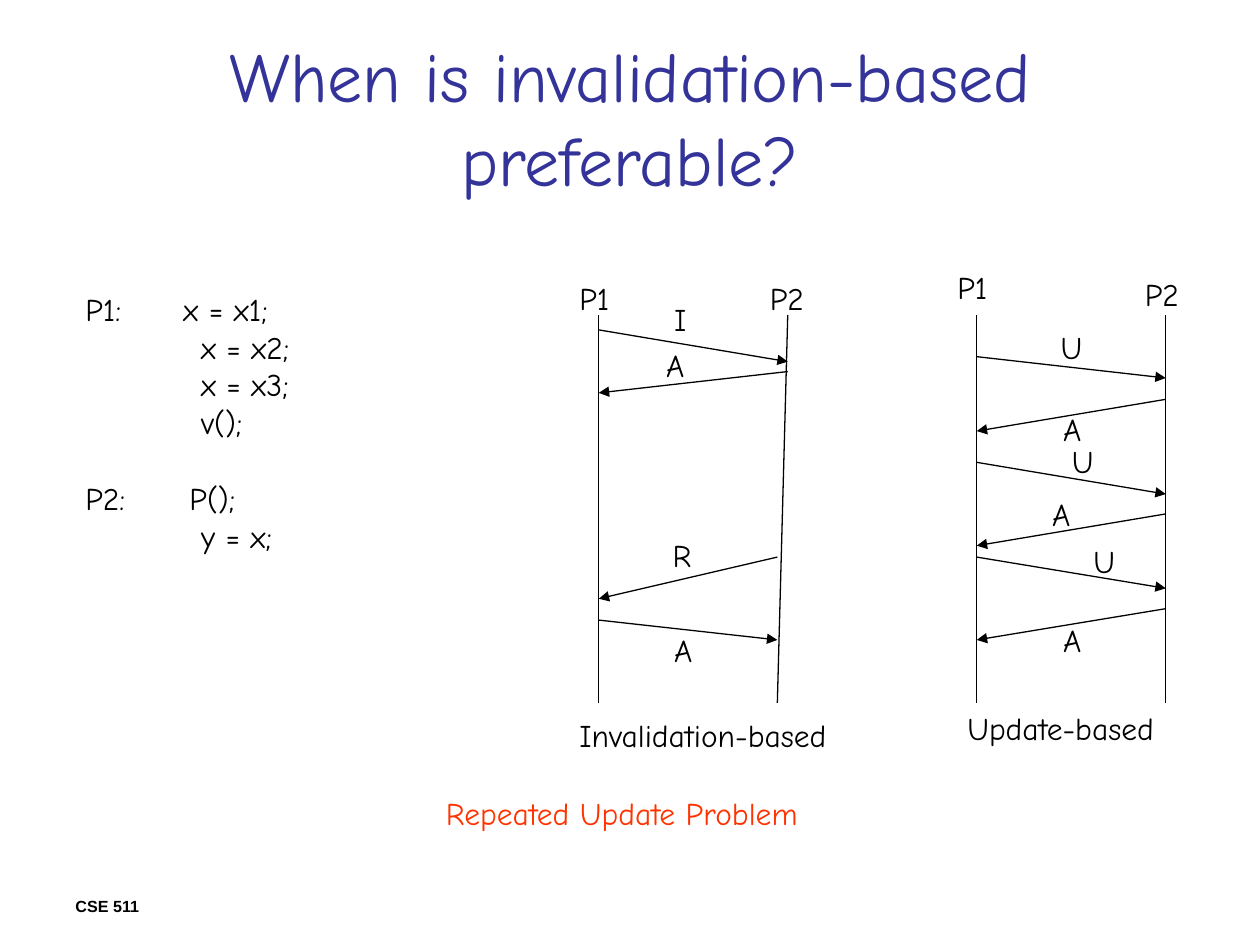
from lxml.etree import SubElement
from pptx import Presentation
from pptx.dml.color import RGBColor
from pptx.enum.shapes import MSO_CONNECTOR
from pptx.enum.text import MSO_ANCHOR, MSO_AUTO_SIZE, PP_ALIGN
from pptx.oxml.ns import qn
from pptx.util import Cm, Pt

BLACK = "000000"


def add_text(shapes, text, left, top, width, height=1.02, size=18,
             color=BLACK, font="Comic Neue", wrap=False):
    """Add a text box measured in centimetres; each line is a paragraph."""
    box = shapes.add_textbox(Cm(left), Cm(top), Cm(width), Cm(height))
    box.text_frame.text = text
    box.text_frame.word_wrap = wrap
    if not wrap:
        box.text_frame.auto_size = MSO_AUTO_SIZE.SHAPE_TO_FIT_TEXT
    for paragraph in box.text_frame.paragraphs:
        for run in paragraph.runs:
            run.font.name = font
            run.font.size = Pt(size)
            run.font.color.rgb = RGBColor.from_string(color)
    return box


def add_line(shapes, start_x, start_y, end_x, end_y, arrow=False):
    line = shapes.add_connector(MSO_CONNECTOR.STRAIGHT, Cm(start_x), Cm(start_y),
                                Cm(end_x), Cm(end_y))
    line.line.width = Pt(0.75)
    line.line.color.rgb = RGBColor.from_string(BLACK)
    if arrow:
        SubElement(line.line._get_or_add_ln(), qn("a:tailEnd"), type="triangle")
    SubElement(line._element.spPr, qn("a:effectLst"))


presentation = Presentation()
presentation.slide_width = Cm(25.4)
presentation.slide_height = Cm(19.05)
slide = presentation.slides.add_slide(presentation.slide_layouts[6])

footer = add_text(slide.shapes, "CSE 511", 1.27, 17.98, 5.92, 0.64,
                  size=9.2, font="Arial", wrap=True)
footer.text_frame.paragraphs[0].line_spacing = 0.9
footer.text_frame.paragraphs[0].runs[0].font.bold = True

title = add_text(slide.shapes, "When is invalidation-based preferable?",
                 1.27, 0.76, 22.86, 3.18, size=40, color="333399", wrap=True)
title.text_frame.vertical_anchor = MSO_ANCHOR.MIDDLE
title.text_frame.paragraphs[0].alignment = PP_ALIGN.CENTER

code_lines = [
    "P1:\tx = x1;",
    "           x = x2;",
    "           x = x3;",
    "           v();",
    "P2:\tP();",
    "           y = x;",
]
code = add_text(slide.shapes, "\n".join(code_lines), 1.47, 5.72, 7.42, 6.35, wrap=True)
code_paragraphs = code.text_frame.paragraphs
for index, tab_position in ((0, 1.98), (4, 2.1)):
    tabs = SubElement(code_paragraphs[index]._p.get_or_add_pPr(), qn("a:tabLst"))
    SubElement(tabs, qn("a:tab"), pos=str(Cm(tab_position)), algn="l")
code_paragraphs[4].space_before = Pt(21.6)

add_text(slide.shapes, "Repeated Update Problem", 8.74, 15.88, 7.65, color="FF3300")

# Each diagram: lifelines (top x, bottom x), messages (start x, y, end x, y)
# and labels (text, left, top).
LIFELINE_TOP, LIFELINE_BOTTOM = 6.35, 14.17
label_widths = {"I": 0.76, "A": 0.86, "R": 0.89, "U": 0.94, "P1": 1.12, "P2": 1.19,
                "Invalidation-based": 5.49, "Update-based": 4.29}

update_left, update_right = 19.69, 23.5
update_times = [(7.19, 7.62, 8.05, 8.69), (9.32, 9.96, 10.36, 11), (11.23, 11.86, 12.27, 12.9)]
update_messages = []
for sent, received, answered, acknowledged in update_times:
    update_messages += [(update_left, sent, update_right, received),
                        (update_right, answered, update_left, acknowledged)]

diagrams = [
    ([(12.07, 12.07), (15.88, 15.67)],
     [(12.07, 6.65, 15.88, 7.29), (15.88, 7.49, 12.07, 7.92),
      (15.67, 11.23, 12.07, 12.07), (12.07, 12.5, 15.67, 12.9)],
     [("I", 13.34, 5.92), ("A", 13.18, 6.86), ("P1", 11.43, 5.51), ("P2", 15.27, 5.51),
      ("Invalidation-based", 11.43, 14.3), ("R", 13.31, 10.69), ("A", 13.34, 12.6)]),
    ([(update_left, update_left), (update_right, update_right)],
     update_messages,
     [("P1", 19.05, 5.28), ("P2", 22.83, 5.41), ("Update-based", 19.25, 14.17),
      ("U", 21.13, 6.48), ("A", 21.18, 8.15), ("U", 21.36, 8.79),
      ("A", 20.96, 9.86), ("U", 21.79, 10.8), ("A", 21.18, 12.4)]),
]
for lifelines, messages, labels in diagrams:
    group = slide.shapes.add_group_shape()
    for top_x, bottom_x in lifelines:
        add_line(group.shapes, top_x, LIFELINE_TOP, bottom_x, LIFELINE_BOTTOM)
    for message in messages:
        add_line(group.shapes, *message, arrow=True)
    for text, left, top in labels:
        add_text(group.shapes, text, left, top, label_widths[text])

presentation.save("out.pptx")
